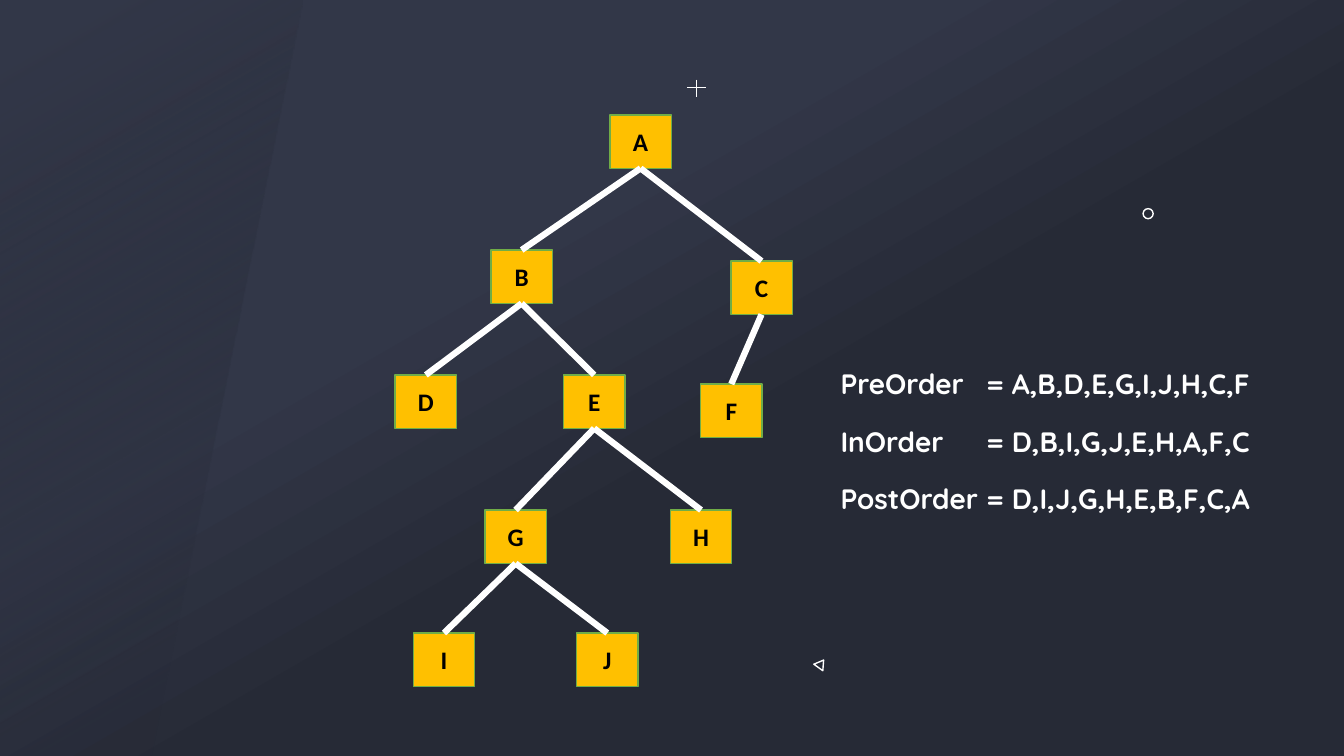
import pptx
import pptx.util
import pptx.dml.color
import pptx.enum.shapes
import pptx.enum.text
import pptx.oxml.ns
import lxml.etree

hues = {"top": "323748", "base": "262A36", "box": "FFC000",
        "edge": "70AD47", "ink": "000000", "white": "FFFFFF"}
kinds = pptx.enum.shapes.MSO_SHAPE
cell = pptx.util.Inches(0.1)


def grid(*spots):
    return [round(spot * cell) for spot in spots]


def paint(part, hue, width=None):
    if width:
        part.width = pptx.util.Pt(width)
        part = part.fill
    part.solid()
    part.fore_color.rgb = pptx.dml.color.RGBColor.from_string(hues[hue])


deck = pptx.Presentation()
deck.slide_width, deck.slide_height = grid(133.33, 75)
slide = deck.slides.add_slide(deck.slide_layouts[6])
shapes = slide.shapes

pen = shapes.build_freeform(0, 0, scale=cell)
pen.add_line_segments([(30, 0), (15.3, 75), (0, 75)], close=True)
panel = pen.convert_to_shape()
panel.shadow.inherit = False
panel.line.fill.background()

for fill, ends in ((slide.background.fill, (0.35, 0.57)), (panel.fill, (0.06, 0.84))):
    fill.gradient()
    fill.gradient_angle = 300
    for stop, hue, place in zip(fill.gradient_stops, ("top", "base"), ends):
        stop.color.rgb = pptx.dml.color.RGBColor.from_string(hues[hue])
        stop.position = place
tint = panel._element.spPr.findall(".//" + pptx.oxml.ns.qn("a:srgbClr"))[-1]
lxml.etree.SubElement(tint, pptx.oxml.ns.qn("a:alpha")).set("val", "7000")

for kind, place, turn in ((kinds.OVAL, (113.4, 20.7, 1, 1), 0),
                          (kinds.ISOSCELES_TRIANGLE, (80.9, 65.4, 1.1, 0.9), 35.9)):
    mark = shapes.add_shape(kind, *grid(*place))
    mark.rotation = turn
    mark.shadow.inherit = False
    mark.fill.background()
    paint(mark.line, "white", 1)

nodes = {"A": (60.5, 11.4), "B": (48.7, 24.8), "C": (72.5, 25.9),
         "D": (39.2, 37.2), "E": (55.9, 37.2), "F": (69.5, 38.1),
         "G": (48.1, 50.6), "H": (66.5, 50.6), "I": (41, 62.8), "J": (57.2, 62.8)}
tree = {}
for name, place in nodes.items():
    box = shapes.add_shape(kinds.RECTANGLE, *grid(*place, 6.1, 5.3))
    box.shadow.inherit = False
    paint(box.fill, "box")
    paint(box.line, "edge", 1)
    frame = box.text_frame
    frame.vertical_anchor = pptx.enum.text.MSO_ANCHOR.MIDDLE
    para = frame.paragraphs[0]
    para.alignment = pptx.enum.text.PP_ALIGN.CENTER
    run = para.add_run()
    run.text = name
    run.font.name, run.font.size, run.font.bold = "Calibri", pptx.util.Pt(18), True
    paint(run.font.fill, "ink")
    tree[name] = box

links = [(pair, (0, 0, 0, 0), 4.5) for pair in ("AB", "AC", "BD", "BE", "CF", "EG", "EH", "GI", "GJ")]
links += [("", (69.1, 7.9, 69.1, 9.6), 0.75), ("", (68.2, 8.7, 70, 8.7), 0.75)]
for pair, ends, width in links:
    line = shapes.add_connector(pptx.enum.shapes.MSO_CONNECTOR.STRAIGHT, *grid(*ends))
    if pair:
        line.begin_connect(tree[pair[0]], 2)
        line.end_connect(tree[pair[1]], 0)
    paint(line.line, "white", width)
    lxml.etree.SubElement(line._element.spPr, pptx.oxml.ns.qn("a:effectLst"))

walks = (("PreOrder", "A,B,D,E,G,I,J,H,C,F"),
         ("InOrder", "D,B,I,G,J,E,H,A,F,C"),
         ("PostOrder", "D,I,J,G,H,E,B,F,C,A"))
for row, (name, path) in enumerate(walks):
    note = shapes.add_textbox(*grid(82.4, 35.9 + 5.7 * row, 50, 4.4))
    frame = note.text_frame
    frame.word_wrap = True
    frame.auto_size = pptx.enum.text.MSO_AUTO_SIZE.SHAPE_TO_FIT_TEXT
    para = frame.paragraphs[0]
    run = para.add_run()
    run.text = f"{name}\t= {path}"
    run.font.name, run.font.size, run.font.bold = "Quicksand", pptx.util.Pt(20), True
    paint(run.font.fill, "white")
    tabs = lxml.etree.SubElement(para._p.get_or_add_pPr(), pptx.oxml.ns.qn("a:tabLst"))
    tab = lxml.etree.SubElement(tabs, pptx.oxml.ns.qn("a:tab"))
    tab.set("pos", str(grid(14.5)[0]))
    tab.set("algn", "l")

deck.save("out.pptx")
